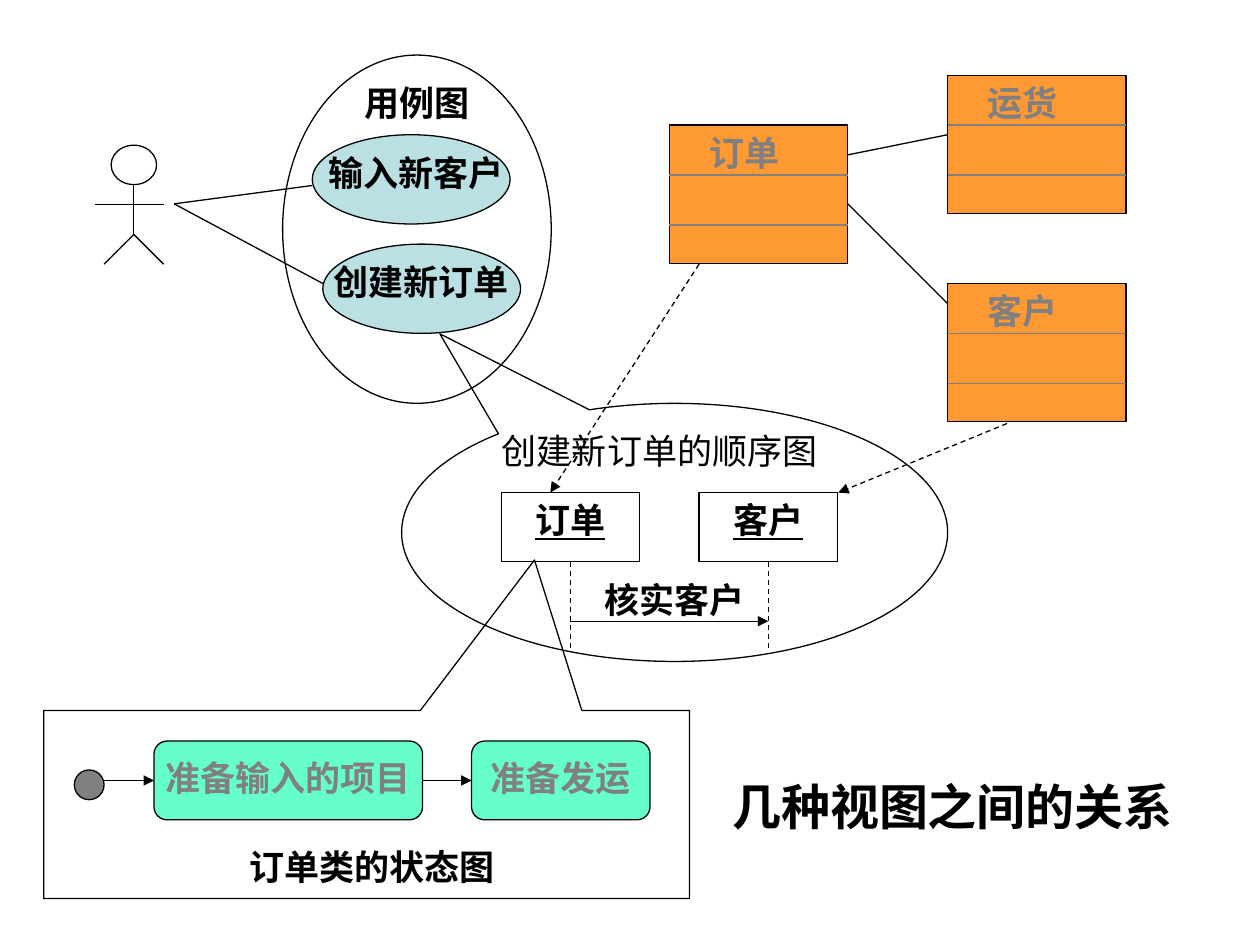
from dataclasses import dataclass

from lxml.etree import SubElement
from pptx import Presentation
from pptx.dml.color import RGBColor
from pptx.enum.dml import MSO_LINE
from pptx.enum.shapes import MSO_CONNECTOR, MSO_SHAPE as Shape
from pptx.enum.text import MSO_ANCHOR, MSO_AUTO_SIZE, PP_ALIGN
from pptx.oxml.ns import qn
from pptx.util import Pt


@dataclass(frozen=True)
class Theme:
    font: str = "Times New Roman"
    ink: str = "000000"
    gray: str = "808080"
    use_case: str = "BBE0E3"
    class_fill: str = "FF9933"
    state: str = "66FFCC"
    label_size: float = 20
    title_size: float = 28
    line_width: float = 0.75
    label_height: float = 31


THEME = Theme()


def add_outline(page, kind, left, top, width, height, fill=None, adjustments=()):
    shape = page.shapes.add_shape(kind, Pt(left), Pt(top), Pt(width), Pt(height))
    shape.shadow.inherit = False
    if fill:
        shape.fill.solid()
        shape.fill.fore_color.rgb = RGBColor.from_string(fill)
    else:
        shape.fill.background()
    shape.line.color.rgb = RGBColor.from_string(THEME.ink)
    shape.line.width = Pt(THEME.line_width)
    for index, value in enumerate(adjustments):
        shape.adjustments[index] = value
    return shape


def add_line(page, start, end, color=THEME.ink, dashed=False, arrow=False):
    line = page.shapes.add_connector(
        MSO_CONNECTOR.STRAIGHT, *(Pt(value) for value in (*start, *end)))
    line.line.color.rgb = RGBColor.from_string(color)
    line.line.width = Pt(THEME.line_width)
    if dashed:
        line.line.dash_style = MSO_LINE.DASH
    if arrow:
        SubElement(line.line._get_or_add_ln(), qn("a:tailEnd"), type="triangle")
    SubElement(line._element.spPr, qn("a:effectLst"))
    return line


def write_text(box, text, size=THEME.label_size, color=THEME.ink,
               bold=True, underline=None):
    frame = box.text_frame
    frame.text = text
    frame.word_wrap = True
    frame.auto_size = MSO_AUTO_SIZE.SHAPE_TO_FIT_TEXT
    frame.vertical_anchor = MSO_ANCHOR.TOP
    para = frame.paragraphs[0]
    para.alignment = PP_ALIGN.CENTER
    para.space_before = Pt(0)
    font = para.font
    font.name, font.size = THEME.font, Pt(size)
    font.bold, font.underline = bold, underline
    font.color.rgb = RGBColor.from_string(color)


def add_label(page, text, left, top, width, **style):
    box = page.shapes.add_textbox(
        Pt(left), Pt(top), Pt(width), Pt(THEME.label_height))
    write_text(box, text, **style)


def place_title(page, left, top, width, height):
    title = page.shapes.title
    title.left, title.top, title.width, title.height = map(
        Pt, (left, top, width, height))
    write_text(title, "几种视图之间的关系", size=THEME.title_size)


def draw_actor(page, left, top, width, height):
    center = left + width / 2 + 2.5
    hip = top + 51
    add_outline(page, Shape.OVAL, center - 13, top, 26, 22.5)
    add_line(page, (left, top + 34), (left + width, top + 34))
    add_line(page, (center, top + 23), (center, hip))
    for side in (-1, 1):
        add_line(page, (center, hip), (center + side * 17, top + height))


def draw_use_cases(page, left, top, width, height):
    add_outline(page, Shape.OVAL, left, top, width, height)
    for dx, dy in ((17, 45.5), (23, 108)):
        add_outline(page, Shape.OVAL, left + dx, top + dy, 113, 51, THEME.use_case)
    for text, dx, dy, label_width in (("用例图", 34.5, 11.5, 85),
                                      ("输入新客户", 17, 51.5, 119),
                                      ("创建新订单", 17, 114, 124.5)):
        add_label(page, text, left + dx, top + dy, label_width)


def draw_class(page, name, left, top, width, height):
    add_outline(page, Shape.RECTANGLE, left, top, width, height, THEME.class_fill)
    for row in (1, 2):
        y = top + row * 28.5
        add_line(page, (left, y), (left + width, y), THEME.gray)
    add_label(page, name, left + 11.5, top, 62.5, color=THEME.gray)


def draw_sequence(page, left, top, width, height):
    add_outline(page, Shape.OVAL_CALLOUT, left, top, width, height,
                adjustments=(-0.43, -0.77))
    add_label(page, "创建新订单的顺序图", left + 40, top + 11.5, 215, bold=False)
    object_width, object_height = 79, 39.5
    object_top = top + 51
    lifelines = []
    for name, dx in (("订单", 57), ("客户", 170)):
        x = left + dx
        center = x + object_width / 2
        box = add_outline(page, Shape.RECTANGLE, x, object_top,
                          object_width, object_height)
        add_label(page, name, x + 5.75, object_top, 67.5, underline=True)
        lifeline = add_line(page, (center, object_top + object_height),
                            (center, top + 141.5), dashed=True)
        lifeline.begin_connect(box, 2)
        lifelines.append(center)
    start, end = lifelines
    message_y = top + 124.5
    add_line(page, (start, message_y), (end, message_y), arrow=True)
    add_label(page, "核实客户", left + 108, top + 96.5, 96.5)


def draw_states(page, left, top, width, height):
    add_outline(page, Shape.RECTANGULAR_CALLOUT, left, top, width, height,
                adjustments=(0.26, -1.3))
    add_outline(page, Shape.OVAL, left + 17.5, top + 34, 17, 17, THEME.gray)
    state_top, state_height = top + 17.5, 45
    middle = state_top + state_height / 2
    source, source_x = None, left + 34.5
    for text, kind, dx, state_width, padding in (
            ("准备输入的项目", Shape.FLOWCHART_ALTERNATE_PROCESS, 63, 153.5, 5.5),
            ("准备发运", Shape.ROUNDED_RECTANGLE, 244.5, 102, 11.5)):
        x = left + dx
        state = add_outline(page, kind, x, state_top, state_width, state_height,
                            THEME.state)
        add_label(page, text, x - padding, top + 22.5,
                  state_width + 2 * padding, color=THEME.gray)
        arrow = add_line(page, (source_x, middle), (x, middle), arrow=True)
        if source is not None:
            arrow.begin_connect(source, 3)
        arrow.end_connect(state, 1)
        source, source_x = state, x + state_width
    add_label(page, "订单类的状态图", left + 40, top + 73.5, 295)


def link_views(page):
    for end in ((178.5, 106), (184.5, 162)):
        add_line(page, (99.5, 116.5), end)
    for start, end in (((484.5, 88.5), (541.5, 77)),
                       ((484.5, 116.5), (541.5, 173.5))):
        add_line(page, start, end)
    for start, end in (((399.5, 151), (314.5, 281.5)),
                       ((575.5, 242), (479, 281.5))):
        add_line(page, start, end, dashed=True, arrow=True)


def main():
    deck = Presentation()
    deck.slide_width, deck.slide_height = Pt(720), Pt(540)
    page = deck.slides.add_slide(deck.slide_layouts[5])
    place_title(page, 399.5, 440, 289.5, 41)
    draw_actor(page, 54, 83, 40, 68)
    draw_use_cases(page, 161.5, 31.5, 153.5, 199)
    for name, left, top in (("订单", 382.5, 71.5), ("运货", 541.5, 43),
                            ("客户", 541.5, 162)):
        draw_class(page, name, left, top, 102, 79)
    draw_sequence(page, 229.5, 230.5, 312, 147.5)
    draw_states(page, 25, 406, 369, 107.5)
    link_views(page)
    deck.save("out.pptx")


if __name__ == "__main__":
    main()
